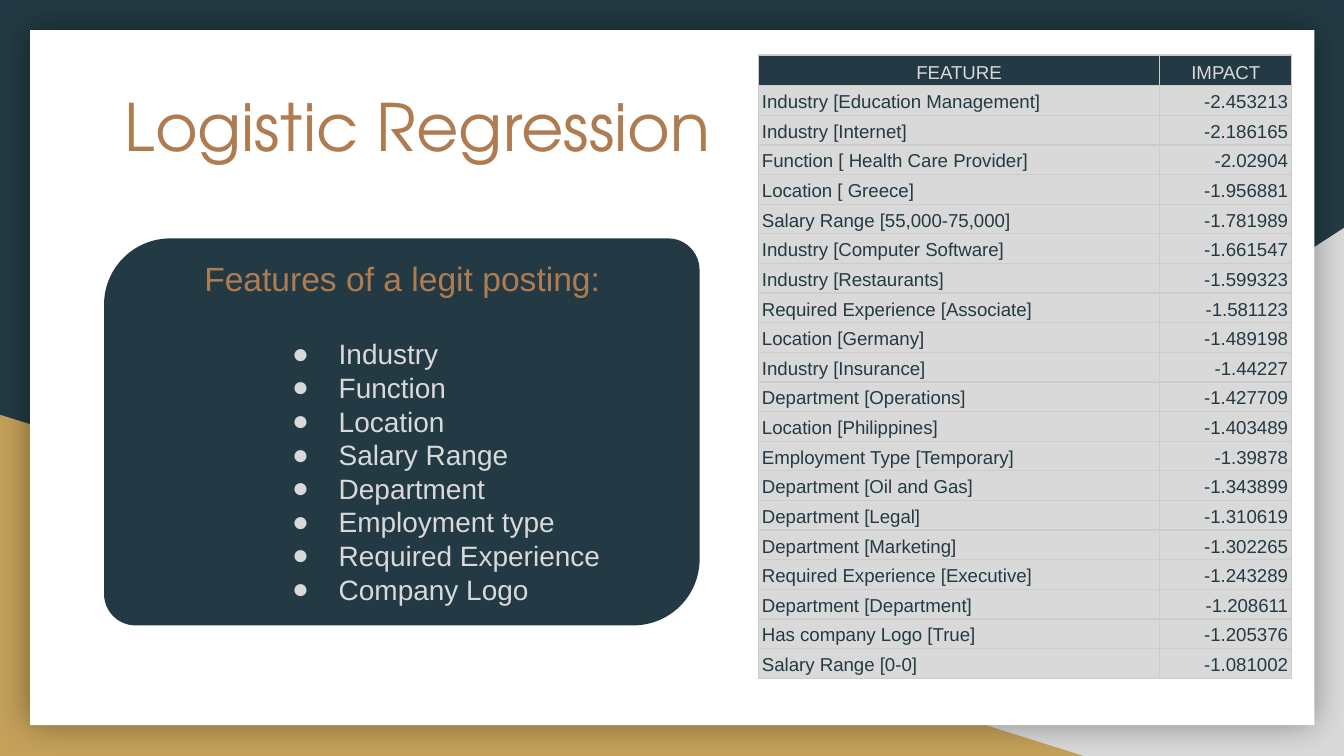
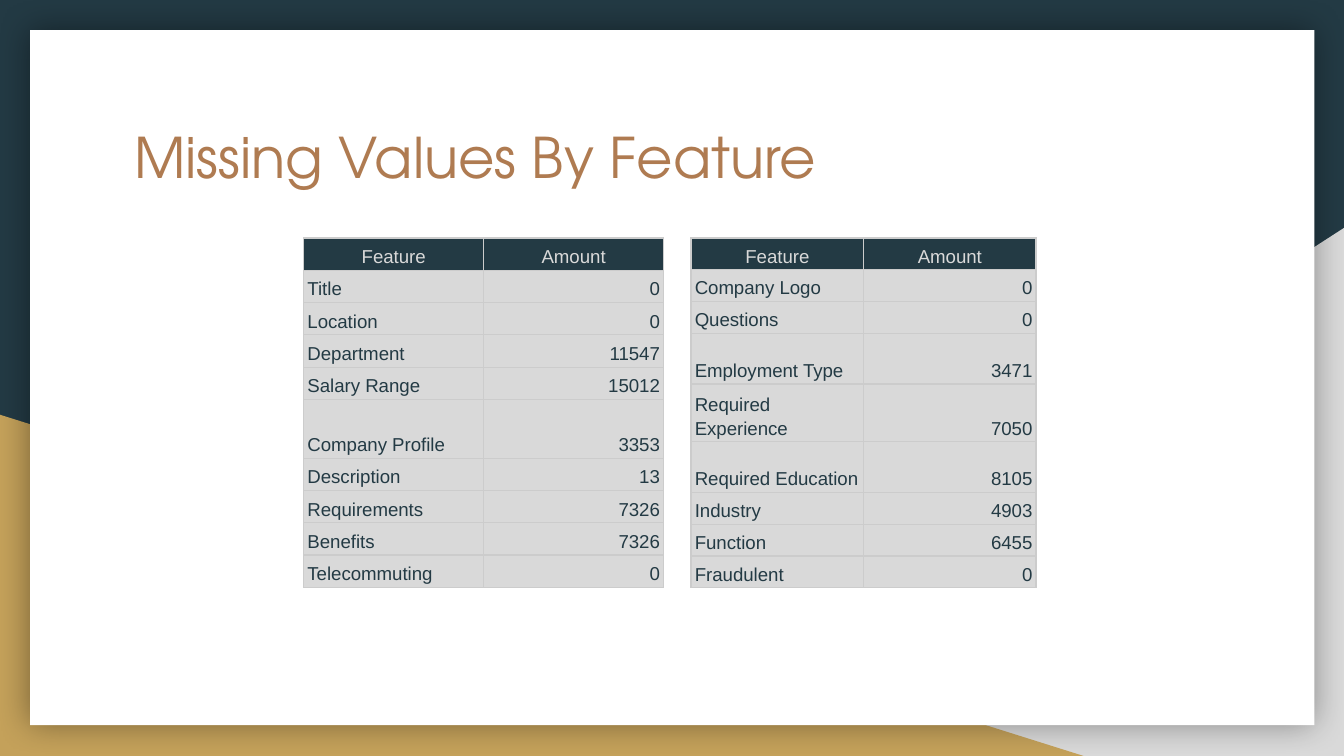
from lxml.etree import SubElement
from pptx import Presentation
from pptx.dml.color import RGBColor
from pptx.enum.shapes import MSO_SHAPE as SHAPE
from pptx.enum.text import MSO_ANCHOR as ANCHOR, MSO_AUTO_SIZE as AUTO, PP_ALIGN as ALIGN
from pptx.oxml.ns import qn
from pptx.util import Cm, Pt

COLORS = {"navy": "233A44", "gray": "D9D9D9", "gold": "C4A15A", "white": "FFFFFF",
          "copper": "AF7B51", "border": "CCCCCC", "black": "000000"}
TITLE_FONT, BODY_FONT = "TeX Gyre Adventor", "Arial"

BACKDROP = [
    (SHAPE.RIGHT_TRIANGLE, (9.96, 4.31, 15.44, 9.98), "gray", True),
    (SHAPE.RIGHT_TRIANGLE, (0, 7.84, 20.48, 6.45), "gold", False),
    (SHAPE.RECTANGLE, (0.57, 0.57, 24.27, 13.14), "white", False),
]

IMPACTS = [
    ("FEATURE", "IMPACT"),
    ("Industry [Education Management]", "-2.453213"),
    ("Industry [Internet]", "-2.186165"),
    ("Function [ Health Care Provider]", "-2.02904"),
    ("Location [ Greece]", "-1.956881"),
    ("Salary Range [55,000-75,000]", "-1.781989"),
    ("Industry [Computer Software]", "-1.661547"),
    ("Industry [Restaurants]", "-1.599323"),
    ("Required Experience [Associate]", "-1.581123"),
    ("Location [Germany]", "-1.489198"),
    ("Industry [Insurance]", "-1.44227"),
    ("Department [Operations]", "-1.427709"),
    ("Location [Philippines]", "-1.403489"),
    ("Employment Type [Temporary]", "-1.39878"),
    ("Department [Oil and Gas]", "-1.343899"),
    ("Department [Legal]", "-1.310619"),
    ("Department [Marketing]", "-1.302265"),
    ("Required Experience [Executive]", "-1.243289"),
    ("Department [Department]", "-1.208611"),
    ("Has company Logo [True]", "-1.205376"),
    ("Salary Range [0-0]", "-1.081002"),
]
MISSING_LEFT = [
    ("Feature", "Amount"), ("Title", "0"), ("Location", "0"), ("Department", "11547"),
    ("Salary Range", "15012"), ("Company Profile", "3353"), ("Description", "13"),
    ("Requirements", "7326"), ("Benefits", "7326"), ("Telecommuting", "0"),
]
MISSING_RIGHT = [
    ("Feature", "Amount"), ("Company Logo", "0"), ("Questions", "0"),
    ("Employment Type", "3471"), ("Required Experience", "7050"),
    ("Required Education", "8105"), ("Industry", "4903"), ("Function", "6455"),
    ("Fraudulent", "0"),
]
LEGIT_HEADING = "Features of a legit posting:"
LEGIT_FEATURES = ["Industry", "Function", "Location", "Salary Range", "Department",
                  "Employment type", "Required Experience", "Company Logo"]

SLIDES = [
    {"title": "Logistic Regression", "box": (2.11, 1.37, 20.85, 1.7), "size": 35,
     "tables": [(IMPACTS, 14.33, 1.04, (7.59, 2.49), 0.56, {0: 0.58})],
     "card": (1.98, 4.52, 11.23, 7.29)},
    {"title": "Missing Values By Feature", "box": (2.29, 2.06, 20.85, 1.47), "size": 30,
     "tables": [(MISSING_LEFT, 5.74, 4.5, (3.4, 3.4), 0.61, {5: 1.11}),
                (MISSING_RIGHT, 13.06, 4.5, (3.26, 3.26), 0.6,
                 {3: 0.96, 4: 1.09, 5: 0.96})]},
]


def rgb(name):
    return RGBColor.from_string(COLORS[name])


def apply(obj, formats):
    for name, value in formats.items():
        setattr(obj, name, value)


def paint(parent, name):
    SubElement(SubElement(parent, qn("a:solidFill")), qn("a:srgbClr"), val=COLORS[name])


def write(p, text, size, color, font=BODY_FONT):
    r = p.add_run()
    r.text = text
    apply(r.font, {"size": Pt(size), "name": font})
    r.font.color.rgb = rgb(color)


def add_filled(s, kind, box, color):
    sp = s.shapes.add_shape(kind, *map(Cm, box))
    sp.shadow.inherit = False
    sp.fill.solid()
    sp.fill.fore_color.rgb = rgb(color)
    sp.line.fill.background()
    return sp


def add_glow(sp):
    effects = sp._element.spPr.find(qn("a:effectLst"))
    shadow = SubElement(effects, qn("a:outerShdw"), blurRad=str(Pt(18)), dist="0",
                        dir="0", algn="ctr", rotWithShape="0")
    tone = SubElement(shadow, qn("a:srgbClr"), val=COLORS["black"])
    SubElement(tone, qn("a:alpha"), val="40000")


def dress_layout(layout, s):
    layout.background.fill.solid()
    layout.background.fill.fore_color.rgb = rgb("navy")
    for i, (kind, box, color, flipped) in enumerate(BACKDROP):
        sp = add_filled(s, kind, box, color)
        if flipped:
            sp._element.spPr.find(qn("a:xfrm")).set("flipH", "1")
        if color == "white":
            add_glow(sp)
        layout.shapes._spTree.insert(2 + i, sp._element)


def set_title(s, text, box, size):
    sp = s.shapes.title
    apply(sp, dict(zip(("left", "top", "width", "height"), map(Cm, box))))
    tf = sp.text_frame
    apply(tf, {"word_wrap": True, "auto_size": AUTO.NONE, "vertical_anchor": ANCHOR.TOP,
               "margin_left": Cm(0.25), "margin_right": Cm(0.25),
               "margin_top": Cm(0.25), "margin_bottom": Cm(0.25)})
    tf.paragraphs[0].alignment = ALIGN.LEFT
    write(tf.paragraphs[0], text, size, "copper", TITLE_FONT)


def add_borders(cell):
    tcPr = cell._tc.get_or_add_tcPr()
    for side in ("lnL", "lnR", "lnT", "lnB"):
        paint(SubElement(tcPr, qn(f"a:{side}"), w=str(Pt(0.75))), "border")


def add_grid(s, rows, left, top, widths, height, special):
    heights = [special.get(i, height) for i in range(len(rows))]
    tbl = s.shapes.add_table(len(rows), len(widths), Cm(left), Cm(top),
                             Cm(sum(widths)), Cm(sum(heights))).table
    for col, width in zip(tbl.columns, widths):
        col.width = Cm(width)
    for i, row in enumerate(rows):
        tbl.rows[i].height = Cm(heights[i])
        for j, text in enumerate(row):
            cell = tbl.cell(i, j)
            apply(cell, {"vertical_anchor": ANCHOR.BOTTOM,
                         "margin_left": Cm(0.07), "margin_right": Cm(0.07),
                         "margin_top": Cm(0.05), "margin_bottom": Cm(0.05)})
            add_borders(cell)
            cell.fill.solid()
            cell.fill.fore_color.rgb = rgb("gray" if i else "navy")
            p = cell.text_frame.paragraphs[0]
            body_align = ALIGN.RIGHT if j else ALIGN.LEFT
            apply(p, {"alignment": body_align if i else ALIGN.CENTER, "line_spacing": 1.15})
            write(p, text, 10, "navy" if i else "gray")


def indent(p, left, first=0):
    pPr = p._p.get_or_add_pPr()
    pPr.set("marL", str(Cm(left)))
    pPr.set("indent", str(Cm(first)))
    return pPr


def add_card(s, box):
    sp = add_filled(s, SHAPE.ROUND_2_DIAG_RECTANGLE, box, "navy")
    sp.adjustments[0], sp.adjustments[1] = 0.17, 0.08
    sp.line.color.rgb = rgb("navy")
    sp.line.width = Pt(0.75)
    tf = sp.text_frame
    apply(tf, {"word_wrap": True, "vertical_anchor": ANCHOR.MIDDLE,
               "margin_left": Cm(0.25), "margin_right": Cm(0.25),
               "margin_top": Cm(0.25), "margin_bottom": Cm(0.25)})
    p = tf.paragraphs[0]
    apply(p, {"alignment": ALIGN.LEFT, "space_after": Pt(20.7)})
    indent(p, 1.27)
    write(p, LEGIT_HEADING, 18, "copper")
    for text in LEGIT_FEATURES:
        p = tf.add_paragraph()
        p.alignment = ALIGN.LEFT
        pPr = indent(p, 3.81, -0.88)
        tone = SubElement(pPr, qn("a:buClr"))
        SubElement(tone, qn("a:srgbClr"), val=COLORS["gray"])
        SubElement(pPr, qn("a:buFont"), typeface=BODY_FONT)
        SubElement(pPr, qn("a:buChar"), char="●")
        write(p, text, 15, "gray")


def main():
    prs = Presentation()
    prs.slide_width, prs.slide_height = Cm(25.4), Cm(14.29)
    layout = prs.slide_layouts[5]
    for i, page in enumerate(SLIDES):
        s = prs.slides.add_slide(layout)
        if i == 0:
            dress_layout(layout, s)
        set_title(s, page["title"], page["box"], page["size"])
        for grid in page["tables"]:
            add_grid(s, *grid)
        if "card" in page:
            add_card(s, page["card"])
    prs.save("out.pptx")


if __name__ == "__main__":
    main()
